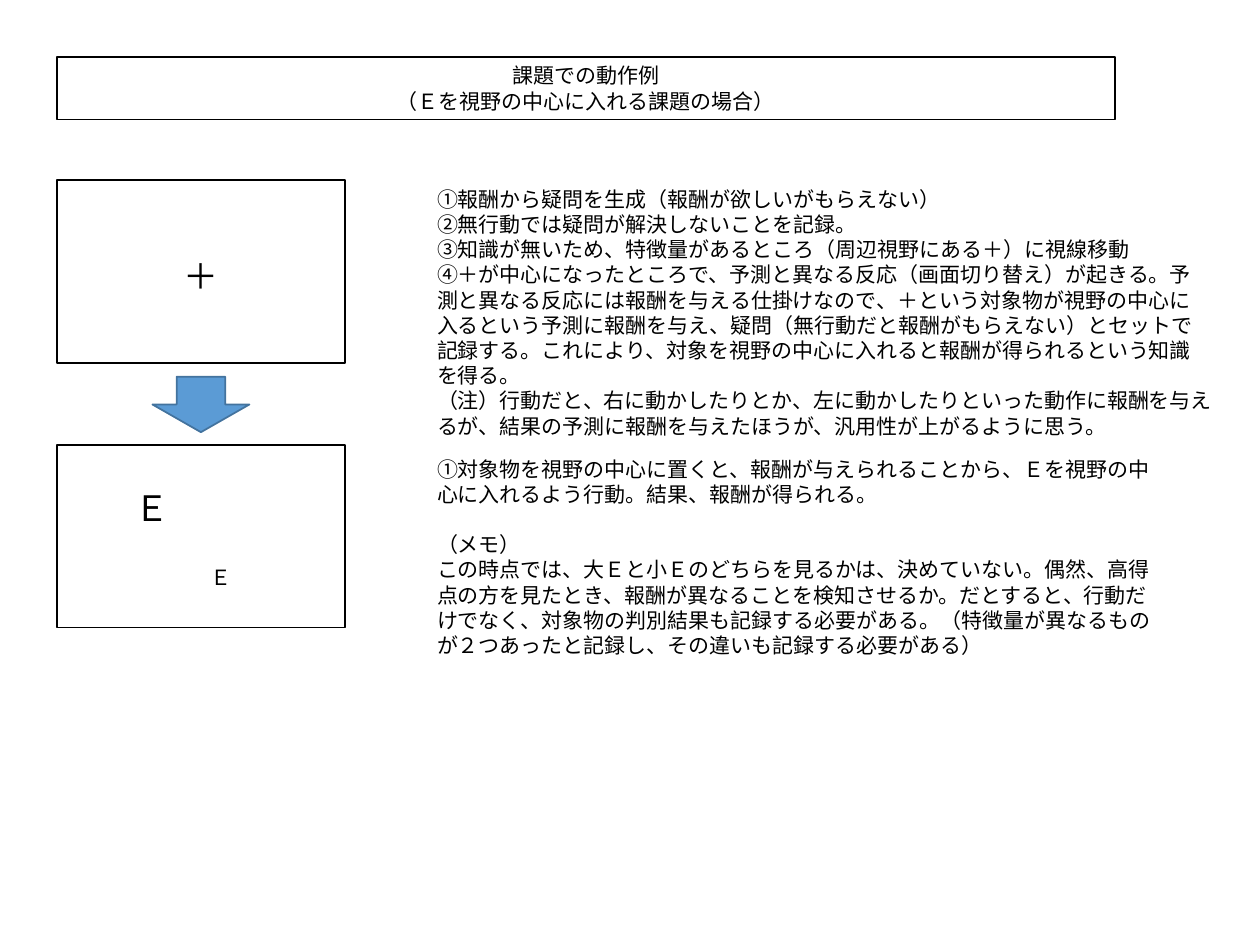
from pptx import Presentation
from pptx.dml.color import RGBColor as RGB
from pptx.enum.shapes import MSO_SHAPE as SHAPE
from pptx.enum.text import MSO_ANCHOR as ANCHOR, PP_ALIGN as ALIGN
from pptx.util import Inches, Pt

WIDE, HIGH = Inches(10), Inches(7.5)
COL, ROW = WIDE / 100, HIGH / 75  # grid of 100 columns by 75 rows
COLORS = {"ink": "000000", "paper": "FFFFFF", "blue": "5B9BD5", "edge": "43739E"}
FONT = "Calibri"

LEFT = 4.5            # left margin
PANE = (22.9, 14.5)   # size of a screen
MARK = (7.7, 5)       # size of a mark's box
NOTE = 33.7           # left edge of the notes
TOP, STEP = 14.3, 21  # first screen and distance to the next

TITLE = ["課題での動作例", "（Ｅを視野の中心に入れる課題の場合）"]
FIRST = [
    "①報酬から疑問を生成（報酬が欲しいがもらえない）",
    "②無行動では疑問が解決しないことを記録。",
    "③知識が無いため、特徴量があるところ（周辺視野にある＋）に視線移動",
    "④＋が中心になったところで、予測と異なる反応（画面切り替え）が起きる。"
    "予測と異なる反応には報酬を与える仕掛けなので、＋という対象物が視野の中心に"
    "入るという予測に報酬を与え、疑問（無行動だと報酬がもらえない）とセットで"
    "記録する。これにより、対象を視野の中心に入れると報酬が得られるという知識を得る。",
    "（注）行動だと、右に動かしたりとか、左に動かしたりといった動作に報酬を"
    "与えるが、結果の予測に報酬を与えたほうが、汎用性が上がるように思う。",
]
SECOND = [
    "①対象物を視野の中心に置くと、報酬が与えられることから、Ｅを視野の中心に"
    "入れるよう行動。結果、報酬が得られる。",
    "（メモ）",
    "この時点では、大Ｅと小Ｅのどちらを見るかは、決めていない。偶然、高得点の方を"
    "見たとき、報酬が異なることを検知させるか。だとすると、行動だけでなく、"
    "対象物の判別結果も記録する必要がある。（特徴量が異なるものが２つあったと"
    "記録し、その違いも記録する必要がある）",
]


def place(x, y, w, h):
    """Turn columns and rows into slide lengths."""
    return round(x * COL), round(y * ROW), round(w * COL), round(h * ROW)


def tint(name):
    """Look up a colour."""
    return RGB.from_string(COLORS[name])


def write(frame, lines, size=12, align=ALIGN.LEFT):
    """Fill a text frame with one paragraph per line."""
    frame.word_wrap = True
    for i, line in enumerate(lines):
        para = frame.paragraphs[0] if i == 0 else frame.add_paragraph()
        para.text = line
        para.alignment = align
        para.font.name, para.font.size = FONT, Pt(size)
        para.font.color.rgb = tint("ink")
    return frame


def shape(slide, kind, box, fill="paper", line="ink"):
    """Draw a filled preset shape with a thin outline."""
    item = slide.shapes.add_shape(kind, *place(*box))
    item.shadow.inherit = False
    item.fill.solid()
    item.fill.fore_color.rgb = tint(fill)
    item.line.color.rgb = tint(line)
    item.line.width = Pt(1)
    return item


def label(slide, box, lines, size=12, align=ALIGN.LEFT):
    """Add a plain text box."""
    item = slide.shapes.add_textbox(*place(*box))
    return write(item.text_frame, lines, size, align)


def screen(slide, row, marks):
    """Draw a screen with its marks, given as sign, left, top and size."""
    shape(slide, SHAPE.RECTANGLE, (LEFT, row, *PANE))
    for sign, x, y, size in marks:
        label(slide, (x, row + y, *MARK), [sign], size, ALIGN.CENTER)


def main():
    """Build the slide."""
    deck = Presentation()
    deck.slide_width, deck.slide_height = WIDE, HIGH
    slide = deck.slides.add_slide(deck.slide_layouts[6])

    title = shape(slide, SHAPE.RECTANGLE, (LEFT, 4.5, 84, 5))
    write(title.text_frame, TITLE, align=ALIGN.CENTER)
    title.text_frame.vertical_anchor = ANCHOR.MIDDLE

    mid = LEFT + (PANE[0] - MARK[0]) / 2
    screen(slide, TOP, [("＋", mid, 5.4, 20)])
    screen(slide, TOP + STEP, [("Ｅ", 8.2, 2.8, 20), ("Ｅ", 13.7, 9, 12)])
    shape(slide, SHAPE.DOWN_ARROW, (mid, 29.9, MARK[0], 4.4), "blue", "edge")

    label(slide, (NOTE, TOP, 63.5, 19.2), FIRST)
    memo = label(slide, (NOTE, 35.7, 59.5, 19.2), SECOND)
    memo.paragraphs[1].space_before = Pt(14.4)
    deck.save("out.pptx")


main()
